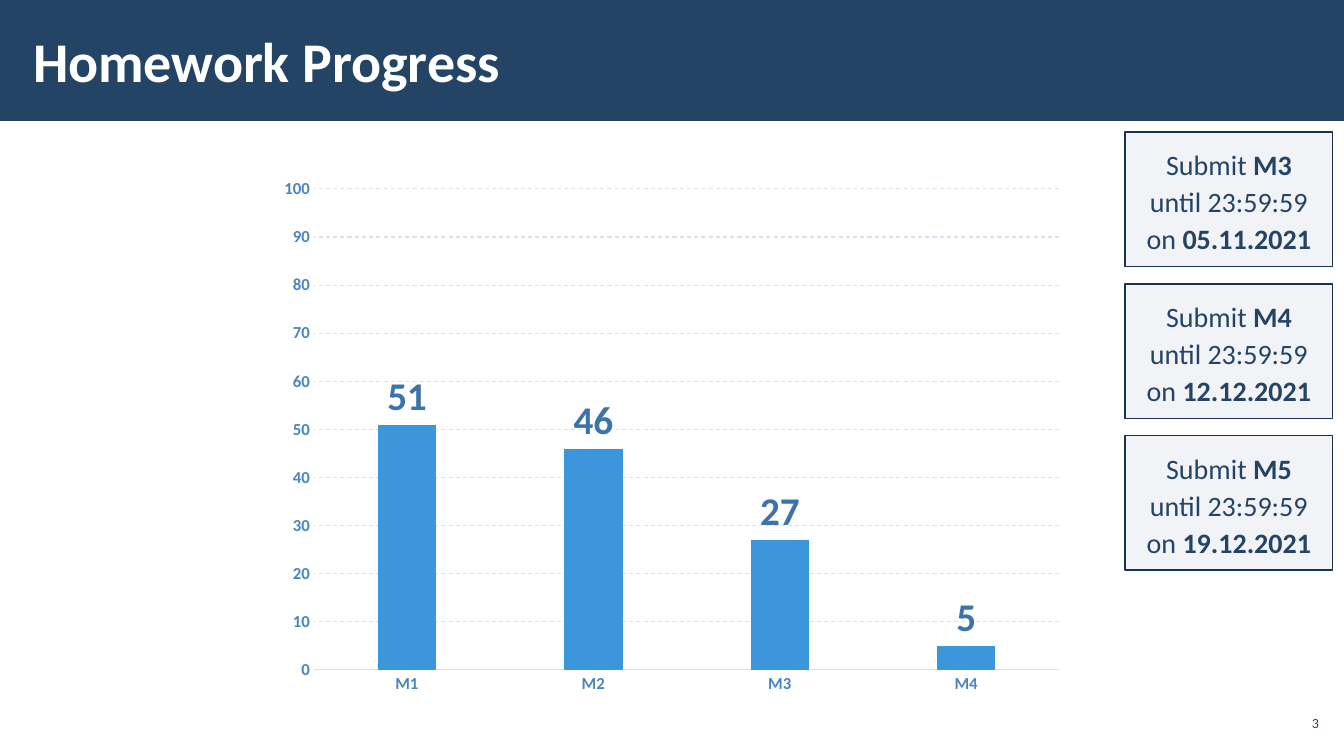
"""Build the homework progress slide with its chart and deadline boxes."""
import copy

import pptx
import pptx.chart.data
import pptx.dml.color
import pptx.enum.chart
import pptx.enum.dml
import pptx.enum.shapes
import pptx.enum.text
import pptx.oxml
import pptx.oxml.ns
import pptx.util

Pt = pptx.util.Pt
RGBColor = pptx.dml.color.RGBColor
ALIGN = pptx.enum.text.PP_ALIGN
ANCHOR = pptx.enum.text.MSO_ANCHOR
NO_TICK = pptx.enum.chart.XL_TICK_MARK.NONE

NAVY = RGBColor(0x23, 0x44, 0x65)
WHITE = RGBColor(0xFF, 0xFF, 0xFF)
BOX_FILL = RGBColor(0xAD, 0xB4, 0xC3)
BOX_LINE = RGBColor(0x1A, 0x33, 0x4C)
AXIS_TEXT = RGBColor(0x4A, 0x85, 0xC0)
GRID = RGBColor(0xD5, 0xE3, 0xF1)
BAR = RGBColor(0x3C, 0x96, 0xDC)
LABEL = RGBColor(0x3B, 0x73, 0xAA)
TREND = RGBColor(0x90, 0xC1, 0xFA)


class ProgressSlide:
    def __init__(self, s, face):
        self.s = s
        self.face = face

    def apply(self, target, **values):
        for name, value in values.items():
            setattr(target, name, value)

    def font(self, font, size, color, bold=False):
        self.apply(font, name=self.face, size=Pt(size), bold=bold)
        font.color.rgb = color

    def line(self, line, color, width):
        line.color.rgb = color
        line.width = Pt(width)

    def frame(self, tf, dx, dy, anchor):
        self.apply(tf, margin_left=Pt(dx), margin_right=Pt(dx), margin_top=Pt(dy),
                   margin_bottom=Pt(dy), vertical_anchor=anchor, word_wrap=True)

    def runs(self, p, parts, size, color):
        for text, bold in parts:
            r = p.add_run()
            r.text = text
            self.font(r.font, size, color, bold)

    def rect(self, x, y, w, h, fill):
        shape = pptx.enum.shapes.MSO_SHAPE.RECTANGLE
        sp = self.s.shapes.add_shape(shape, Pt(x), Pt(y), Pt(w), Pt(h))
        sp.shadow.inherit = False
        sp.fill.solid()
        sp.fill.fore_color.rgb = fill
        sp.line.fill.background()
        return sp

    def title(self, text, x, y, w, h):
        sp = self.s.shapes.title
        self.apply(sp, left=Pt(x), top=Pt(y), width=Pt(w), height=Pt(h))
        self.frame(sp.text_frame, 8.64, 2.88, ANCHOR.MIDDLE)
        p = sp.text_frame.paragraphs[0]
        p.alignment = ALIGN.LEFT
        self.runs(p, [(text, True)], 40, WHITE)
        band = self.rect(0, 0, 960, 86.4, NAVY)
        sp.element.addprevious(band.element)

    def page_number(self, text, x, y, w, h):
        sp = self.s.shapes.add_textbox(Pt(x), Pt(y), Pt(w), Pt(h))
        self.frame(sp.text_frame, 2.88, 2.88, ANCHOR.MIDDLE)
        p = sp.text_frame.paragraphs[0]
        p.alignment = ALIGN.RIGHT
        self.runs(p, [(text, False)], 10, NAVY)

    def deadline(self, milestone, date, x, y, w, h):
        sp = self.rect(x, y, w, h, BOX_FILL)
        color = sp.element.spPr.find(".//" + pptx.oxml.ns.qn("a:srgbClr"))
        color.append(pptx.oxml.parse_xml(
            f'<a:alpha {pptx.oxml.ns.nsdecls("a")} val="15000"/>'))
        self.line(sp.line, BOX_LINE, 1)
        tf = sp.text_frame
        self.frame(tf, 11.52, 8.64, ANCHOR.TOP)
        tf.auto_size = pptx.enum.text.MSO_AUTO_SIZE.SHAPE_TO_FIT_TEXT
        p = tf.paragraphs[0]
        self.apply(p, alignment=ALIGN.CENTER, line_spacing=1.1)
        parts = [("Submit ", False), (milestone, True),
                 (" until 23:59:59 on ", False), (date, True)]
        self.runs(p, parts, 20, NAVY)

    def chart(self, cats, bars, trend, x, y, w, h):
        data = pptx.chart.data.CategoryChartData()
        data.categories = cats
        data.add_series("Series 1", bars)
        data.add_series("Series 2", trend)
        kind = pptx.enum.chart.XL_CHART_TYPE.COLUMN_CLUSTERED
        chart = self.s.shapes.add_chart(kind, Pt(x), Pt(y), Pt(w), Pt(h), data).chart
        self.apply(chart, has_legend=False, has_title=False)
        self.font(chart.font, 10, NAVY)
        self.axes(chart)
        self.split_line(chart)
        columns, lines = chart.plots
        self.apply(columns, gap_width=219, vary_by_categories=False)
        ser = columns.series[0]
        ser.format.fill.solid()
        ser.format.fill.fore_color.rgb = BAR
        labels = ser.data_labels
        self.apply(labels, show_value=True,
                   position=pptx.enum.chart.XL_LABEL_POSITION.OUTSIDE_END)
        self.font(labels.font, 28, LABEL, True)
        ser = lines.series[0]
        self.line(ser.format.line, TREND, 2.25)
        ser.marker.style = pptx.enum.chart.XL_MARKER_STYLE.NONE
        ser.smooth = False

    def axes(self, chart):
        cat, val = chart.category_axis, chart.value_axis
        for axis in (cat, val):
            self.apply(axis, major_tick_mark=NO_TICK, minor_tick_mark=NO_TICK)
            self.font(axis.tick_labels.font, 12, AXIS_TEXT, True)
        self.line(cat.format.line, GRID, 0.75)
        self.apply(val, minimum_scale=0, maximum_scale=100, major_unit=10,
                   has_major_gridlines=True)
        val.format.line.fill.background()
        grid = val.major_gridlines.format.line
        self.line(grid, GRID, 0.75)
        grid.dash_style = pptx.enum.dml.MSO_LINE.DASH

    def split_line(self, chart):
        qn = pptx.oxml.ns.qn
        columns = chart.element.find(".//" + qn("c:barChart"))
        lines = pptx.oxml.parse_xml(
            f'<c:lineChart {pptx.oxml.ns.nsdecls("c")}><c:grouping val="standard"/>'
            '<c:varyColors val="0"/><c:marker val="1"/></c:lineChart>')
        ser = columns.findall(qn("c:ser"))[1]
        for invert in ser.findall(qn("c:invertIfNegative")):
            ser.remove(invert)
        lines.insert(2, ser)
        for axis_id in columns.findall(qn("c:axId")):
            lines.append(copy.deepcopy(axis_id))
        columns.addnext(lines)


def main():
    prs = pptx.Presentation()
    prs.slide_width, prs.slide_height = Pt(960), Pt(540)
    slide = ProgressSlide(prs.slides.add_slide(prs.slide_layouts[5]), "Calibri")
    slide.title("Homework Progress", 15, 8, 765, 70)
    slide.page_number("3", 911, 504, 34, 24.5)
    slide.chart(["M1", "M2", "M3", "M4"], [51, 46, 27, 5], [1, None, None, None],
                191.5, 120.2, 576.7, 383)
    deadlines = [("M3", "05.11.2021"), ("M4", "12.12.2021"), ("M5", "19.12.2021")]
    for i, (milestone, date) in enumerate(deadlines):
        slide.deadline(milestone, date, 803.7, 94.4 + 108.4 * i, 148.3, 96)
    prs.save("out.pptx")


if __name__ == "__main__":
    main()
